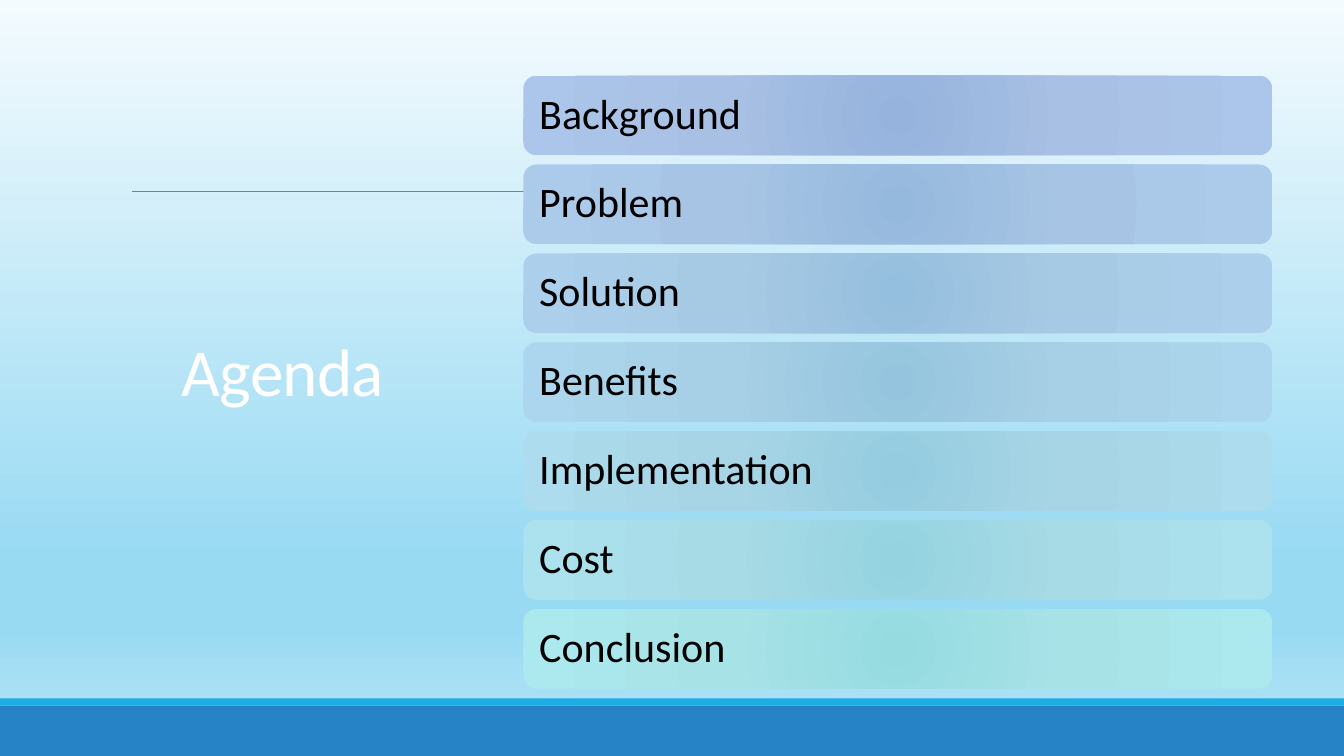
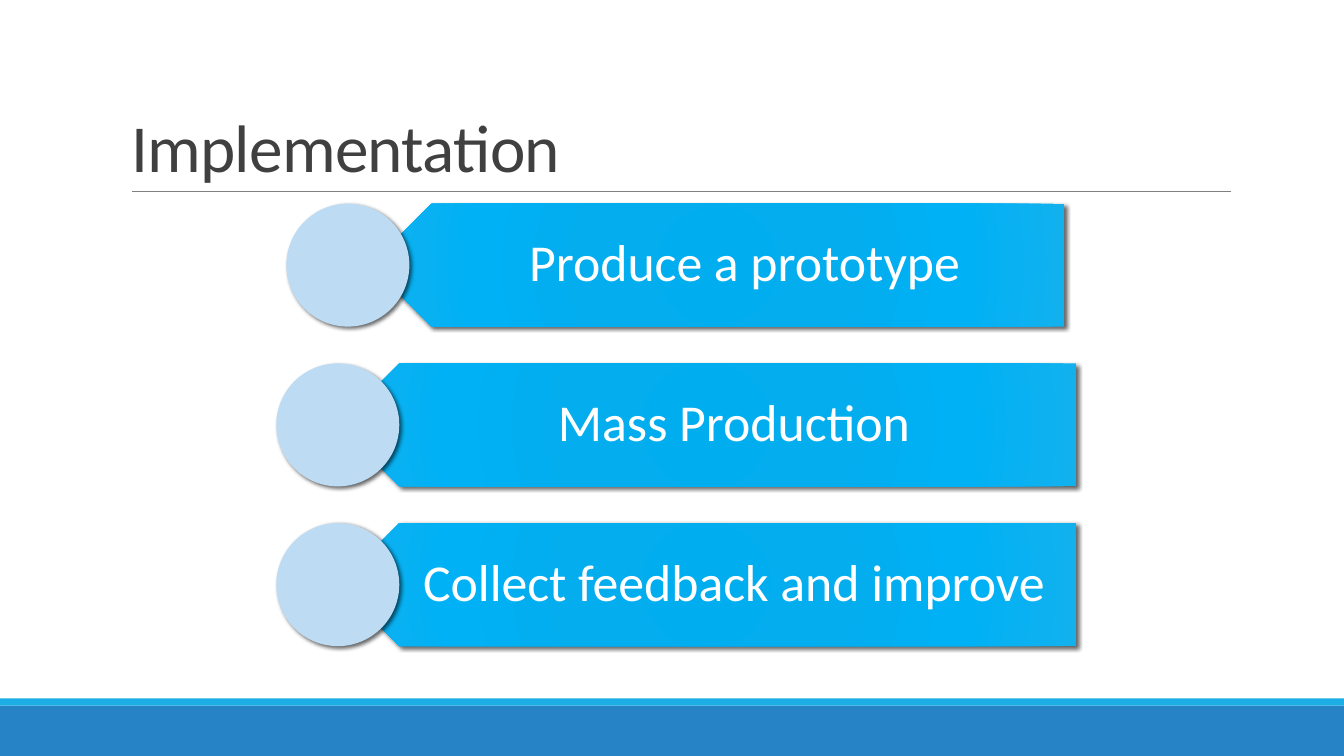
from pptx import Presentation
from pptx.dml.color import RGBColor
from pptx.enum.shapes import MSO_CONNECTOR, MSO_SHAPE
from pptx.enum.text import MSO_ANCHOR, PP_ALIGN
from pptx.oxml import parse_xml
from pptx.oxml.ns import nsdecls, qn
from pptx.util import Inches, Pt

FONT = "Calibri"
HEX = {
    "band": "2683C6", "strip": "1CADE4", "rule": "808080",
    "white": "FFFFFF", "black": "000000", "dark": "404040", "disc": "BDDBF2",
}
SKY = [(0, "F4FBFE"), (74, "99DAF3"), (83, "99DAF3"), (100, "BBE6F7")]
ARROW = [(0, "00ADEF"), (34, "03ADEE"), (70, "00B1F5"), (100, "12B1EE")]
DOWN = '<a:lin ang="5400000" scaled="0"/>'
ROUND = ('<a:path path="circle"><a:fillToRect l="100000" t="100000" '
         'r="100000" b="100000"/></a:path>')


def blend(stops, way):
    """Gradient fill element from (percent, colour) stops."""
    marks = "".join(f'<a:gs pos="{pos * 1000}"><a:srgbClr val="{tint}"/></a:gs>'
                    for pos, tint in stops)
    return parse_xml(f'<a:gradFill {nsdecls("a")} rotWithShape="1">'
                     f'<a:gsLst>{marks}</a:gsLst>{way}</a:gradFill>')


def write(shape, text, size, tint, align, anchor=MSO_ANCHOR.MIDDLE, lead=0.9):
    frame = shape.text_frame
    frame.word_wrap = True
    frame.vertical_anchor = anchor
    para = frame.paragraphs[0]
    para.alignment = align
    para.line_spacing = lead
    run = para.add_run()
    run.text = text
    run.font.name = FONT
    run.font.size = Pt(size)
    run.font.color.rgb = RGBColor.from_string(HEX[tint])
    return run


deck = Presentation()
deck.slide_width, deck.slide_height = Inches(13.33), Inches(7.5)
layout = deck.slide_layouts[5]
for spare in list(layout.placeholders)[1:]:
    layout.shapes.element.remove(spare.element)

agenda = deck.slides.add_slide(layout)
steps = deck.slides.add_slide(layout)

# Bands and rule go to the layout that both slides use
for tint, top, high in [("band", 7, 0.5), ("strip", 6.93, 0.07)]:
    band = agenda.shapes.add_shape(
        MSO_SHAPE.RECTANGLE, 0, Inches(top), deck.slide_width, Inches(high))
    band.fill.solid()
    band.fill.fore_color.rgb = RGBColor.from_string(HEX[tint])
    band.line.fill.background()
    band.shadow.inherit = False
    layout.shapes.element.append(band.element)
rule = agenda.shapes.add_connector(
    MSO_CONNECTOR.STRAIGHT, Inches(1.31), Inches(1.9), Inches(12.21), Inches(1.9))
rule.line.color.rgb = RGBColor.from_string(HEX["rule"])
rule.line.width = Pt(0.5)
rule.element.spPr.append(parse_xml(f'<a:effectLst {nsdecls("a")}/>'))
layout.shapes.element.append(rule.element)

# Titles
for slide, text, box, tint, align, anchor in [
    (agenda, "Agenda", (0.54, 0.57, 3.37, 6.31), "white",
     PP_ALIGN.RIGHT, MSO_ANCHOR.MIDDLE),
    (steps, "Implementation", (1.2, 0.31, 11, 1.59), "dark",
     PP_ALIGN.LEFT, MSO_ANCHOR.BOTTOM),
]:
    title = slide.shapes.title
    title.left, title.top, title.width, title.height = map(Inches, box)
    run = write(title, text, 48, tint, align, anchor, 0.85)
    run.font.element.set("spc", "-50") if hasattr(run.font, "element") else \
        title.element.find(".//" + qn("a:rPr")).set("spc", "-50")

# Agenda: sky background and one bar per topic
agenda.background.fill.solid()
back = agenda.element.find(".//" + qn("p:bgPr"))
back.replace(back[0], blend(SKY, DOWN))
topics = [
    ("Background", "95B3DD", "A7C0E3", "ACC6EB"),
    ("Problem", "95B9DD", "A7C4E4", "ACCBEB"),
    ("Solution", "95BFDE", "A7CAE4", "ACD0EC"),
    ("Benefits", "95C5DE", "A7CFE5", "ACD6ED"),
    ("Implementation", "95CCDF", "A7D5E5", "ACDCED"),
    ("Cost", "95D3E0", "A7DBE6", "ACE2EE"),
    ("Conclusion", "95DBE0", "A7E2E7", "ACE9EE"),
]
for i, (text, *tints) in enumerate(topics):
    bar = agenda.shapes.add_shape(
        MSO_SHAPE.ROUNDED_RECTANGLE, Inches(5.19), Inches(0.75 + 0.882 * i),
        Inches(7.43), Inches(0.79))
    bar.element.spPr.append(blend(zip((0, 45, 100), tints), ROUND))
    bar.line.fill.background()
    bar.shadow.inherit = False
    frame = bar.text_frame
    frame.margin_left = frame.margin_right = Inches(0.12)
    frame.margin_top = frame.margin_bottom = Inches(0.12)
    write(bar, text, 30, "black", PP_ALIGN.LEFT)

# Steps: an arrow turned to the left, its label and a disc at the tip
SIZE = 1.22
for i, (text, disc_x, left, wide) in enumerate([
    ("Produce a prototype", 2.84, 3.67, 6.89),
    ("Mass Production", 2.74, 3.35, 7.32),
    ("Collect feedback and improve", 2.74, 3.35, 7.32),
]):
    top = Inches(2.02 + 1.585 * i)
    arrow = steps.shapes.add_shape(
        MSO_SHAPE.PENTAGON, Inches(left), top, Inches(wide), Inches(SIZE))
    arrow.rotation = 180
    arrow.element.spPr.append(blend(ARROW, ROUND))

    label = steps.shapes.add_textbox(
        Inches(left + 0.3), top, Inches(wide - 0.31), Inches(SIZE))
    frame = label.text_frame
    frame.margin_left, frame.margin_right = Inches(0.54), Inches(0.29)
    frame.margin_top = frame.margin_bottom = Inches(0.15)
    write(label, text, 37, "white", PP_ALIGN.CENTER)

    disc = steps.shapes.add_shape(
        MSO_SHAPE.OVAL, Inches(disc_x), top, Inches(SIZE), Inches(SIZE))
    disc.fill.solid()
    disc.fill.fore_color.rgb = RGBColor.from_string(HEX["disc"])

    for shape in (arrow, disc):
        shape.line.fill.background()
        shape.shadow.inherit = False
        shape.element.spPr.find(qn("a:effectLst")).append(parse_xml(
            f'<a:outerShdw {nsdecls("a")} blurRad="{Pt(3)}" dist="{Pt(2)}" '
            f'dir="2700000" rotWithShape="0"><a:srgbClr val="{HEX["black"]}">'
            '<a:alpha val="60000"/></a:srgbClr></a:outerShdw>'))

deck.save("out.pptx")
